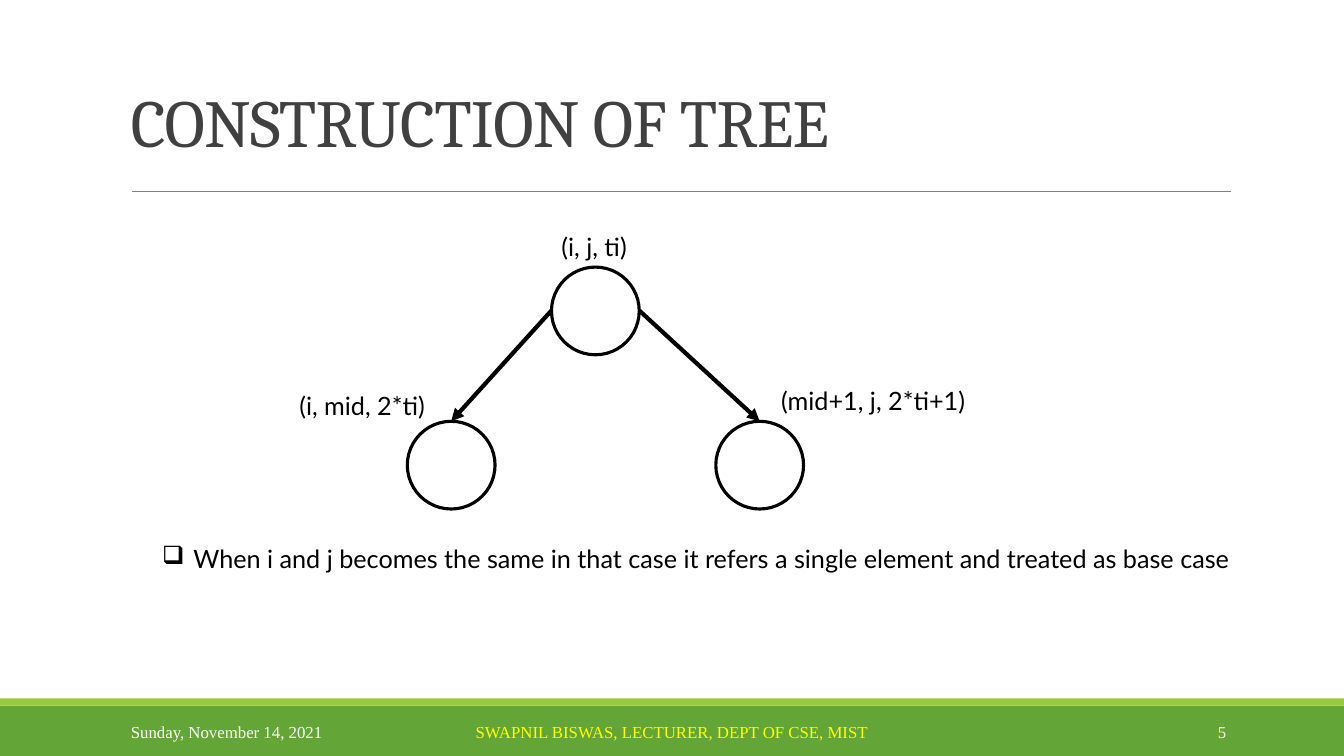
from dataclasses import dataclass

import pptx
import pptx.dml.color
import pptx.enum.dml
import pptx.enum.shapes
import pptx.enum.text
import pptx.oxml
import pptx.oxml.ns
import pptx.util

PX = 9144  # EMU per px, 100 px to the inch
COLORS = {
    "band": "63A537",
    "stripe": "99CB38",
    "rule": "808080",
    "title": "404040",
    "ink": "000000",
    "footer": "FFFFFF",
    "author": "FFFF00",
}
NODE_SIZE = 87
ALIGN = pptx.enum.text.PP_ALIGN
ANCHOR = pptx.enum.text.MSO_ANCHOR
SHAPES = pptx.enum.shapes.MSO_SHAPE


@dataclass(frozen=True)
class Node:
    left: int
    top: int
    label: str
    label_box: tuple[int, int, int, int]


@dataclass(frozen=True)
class FooterItem:
    text: str
    left: int
    width: int
    color: str
    align: pptx.enum.text.PP_ALIGN


ROOT = Node(547, 265, "(i, j, ti)", (547, 225, 87, 40))
CHILDREN = [
    Node(404, 418, "(i, mid, 2*ti)", (287, 382, 148, 40)),
    Node(710, 418, "(mid+1, j, 2*ti+1)", (765, 377, 210, 40)),
]
FOOTER = [
    FooterItem("Sunday, November 14, 2021", 120, 270, "footer", ALIGN.LEFT),
    FooterItem("SWAPNIL BISWAS, LECTURER, DEPT OF CSE, MIST", 403, 527, "author", ALIGN.CENTER),
    FooterItem("5", 1083, 143, "footer", ALIGN.RIGHT),
]


def px(*lengths: int) -> list[int]:
    return [length * PX for length in lengths]


def rgb(name: str) -> pptx.dml.color.RGBColor:
    return pptx.dml.color.RGBColor.from_string(COLORS[name])


def add_text(slide, text: str, box: tuple[int, int, int, int], *, font="Lato", size=18,
             color="ink", align=ALIGN.LEFT, anchor=ANCHOR.TOP, wrap=False,
             line_spacing=None, tracking=None, bullet=None) -> None:
    frame = slide.shapes.add_textbox(*px(*box)).text_frame
    frame.word_wrap = wrap
    if not wrap:
        frame.auto_size = pptx.enum.text.MSO_AUTO_SIZE.SHAPE_TO_FIT_TEXT
    frame.vertical_anchor = anchor
    paragraph = frame.paragraphs[0]
    paragraph.alignment = align
    if line_spacing:
        paragraph.line_spacing = line_spacing
    run = paragraph.add_run()
    run.text = text
    run.font.name = font
    run.font.size = pptx.util.Pt(size)
    run.font.color.rgb = rgb(color)
    if tracking is not None:
        run._r.get_or_add_rPr().set("spc", str(round(tracking * 100)))
    if bullet:
        properties = paragraph._p.get_or_add_pPr()
        indent = 31 * PX
        properties.set("marL", str(indent))
        properties.set("indent", str(-indent))
        properties.append(pptx.oxml.parse_xml(
            f'<a:buChar {pptx.oxml.ns.nsdecls("a")} char="{bullet}"/>'))


def add_band(slide, top: int, height: int, color: str) -> None:
    band = slide.shapes.add_shape(SHAPES.RECTANGLE, *px(0, top, 1333, height))
    band.shadow.inherit = False
    band.fill.solid()
    band.fill.fore_color.rgb = rgb(color)
    band.line.fill.background()


def add_line(slide, start: tuple[int, int], end: tuple[int, int], color: str,
             width: float, arrow: bool = False):
    line = slide.shapes.add_connector(
        pptx.enum.shapes.MSO_CONNECTOR.STRAIGHT, *px(*start, *end))
    line.line.color.rgb = rgb(color)
    line.line.width = pptx.util.Pt(width)
    namespace = pptx.oxml.ns.nsdecls("a")
    if arrow:
        line.line._get_or_add_ln().append(
            pptx.oxml.parse_xml(f'<a:tailEnd {namespace} type="triangle"/>'))
    line._element.spPr.append(pptx.oxml.parse_xml(f"<a:effectLst {namespace}/>"))
    return line


def add_node(slide, node: Node):
    circle = slide.shapes.add_shape(
        SHAPES.OVAL, *px(node.left, node.top, NODE_SIZE, NODE_SIZE))
    circle.shadow.inherit = False
    circle.fill.background()
    circle.line.color.rgb = rgb("ink")
    circle.line.width = pptx.util.Pt(2.25)
    add_text(slide, node.label, node.label_box)
    return circle


def main() -> None:
    deck = pptx.Presentation()
    deck.slide_width, deck.slide_height = px(1333, 750)
    slide = deck.slides.add_slide(deck.slide_layouts[6])

    # Footer bands and title rule
    add_band(slide, 700, 50, "band")
    add_band(slide, 693, 7, "stripe")
    add_line(slide, (131, 190), (1221, 190), "rule", 0.5)

    # Title
    add_text(slide, "CONSTRUCTION OF TREE", (120, 6, 1100, 159), font="Cambria", size=48,
             color="title", anchor=ANCHOR.BOTTOM, wrap=True, line_spacing=0.85, tracking=-0.5)

    # Footer text
    for item in FOOTER:
        add_text(slide, item.text, (item.left, 706, item.width, 40), font="Times New Roman",
                 size=12, color=item.color, align=item.align, anchor=ANCHOR.MIDDLE, wrap=True)

    # Tree: arrows leave the root's left and right sides and reach each child's top
    add_node(slide, ROOT)
    root_sides = (ROOT.left, ROOT.left + NODE_SIZE)
    for child, side in zip(CHILDREN, root_sides):
        circle = add_node(slide, child)
        arrow = add_line(slide, (side, ROOT.top + NODE_SIZE // 2),
                         (child.left + NODE_SIZE // 2, child.top), "ink", 3, arrow=True)
        arrow.end_connect(circle, 0)

    # Base case
    add_text(slide, "When i and j becomes the same in that case it refers a single element "
             "and treated as base case", (151, 534, 1098, 40), bullet="❑")

    deck.save("out.pptx")


if __name__ == "__main__":
    main()
